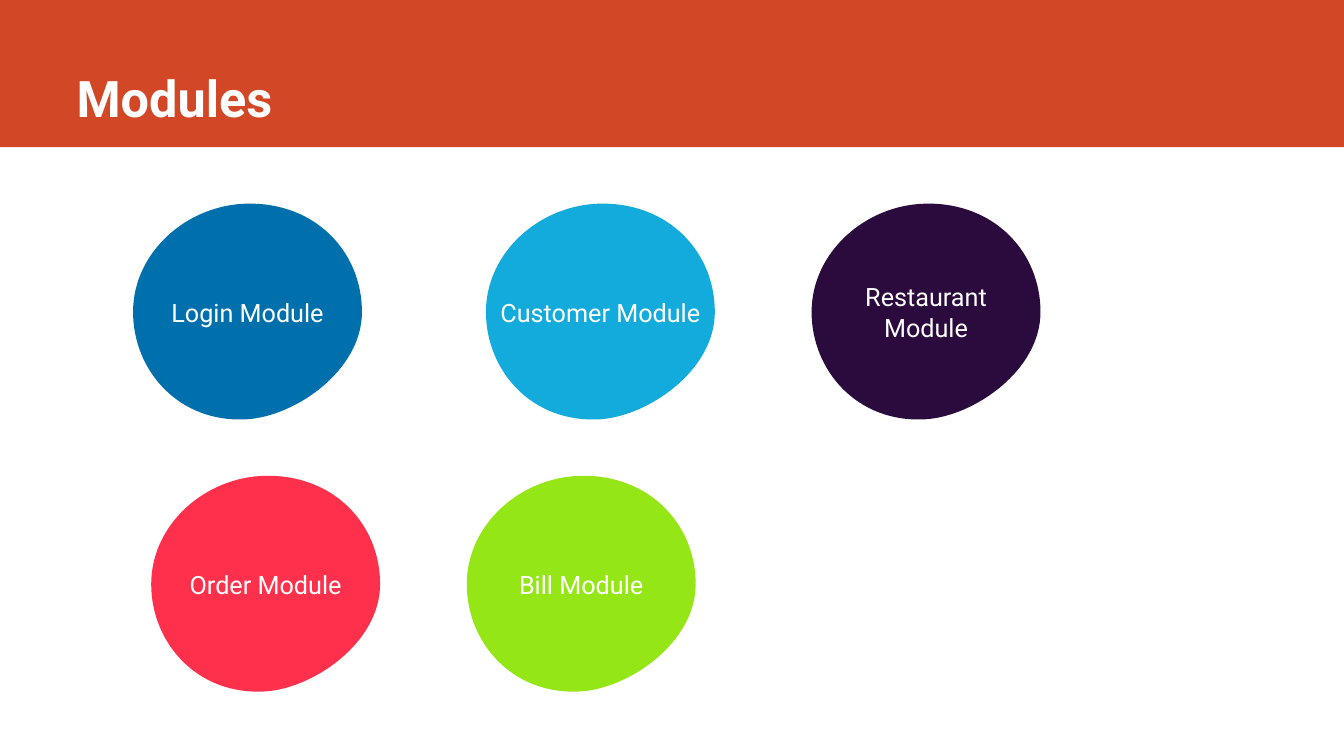
import lxml.etree
import pptx
import pptx.dml.color
import pptx.enum.shapes
import pptx.enum.text
import pptx.oxml.ns
import pptx.util

FONT = "Roboto"
WHITE = "FFFFFF"
BLOB_W, BLOB_H = 2.27, 2.15
GRID = 1000  # outline units along each side of a blob's box

# Bezier segments of the blob in outline units: two controls and an end
BLOB_START = (0, 500)
BLOB_CURVES = [
    ((0, 225), (235, 5), (500, 0)),
    ((800, -5), (1000, 225), (1000, 500)),
    ((1000, 770), (710, 980), (500, 995)),
    ((200, 1015), (0, 770), BLOB_START),
]

# Row top, then (left, text, fill) for each module
MODULE_ROWS = [
    (2.02, [(1.32, "Login Module", "0070AD"),
            (4.82, "Customer Module", "12ABDB"),
            (8.05, "Restaurant Module", "2B0A3D")]),
    (4.72, [(1.5, "Order Module", "FF304C"),
            (4.63, "Bill Module", "95E616")]),
]


def rgb(value):
    return pptx.dml.color.RGBColor.from_string(value)


def paint(sp, color):
    sp.shadow.inherit = False
    sp.fill.solid()
    sp.fill.fore_color.rgb = rgb(color)
    sp.line.fill.background()


def write(sp, text, size, align, anchor, bold=False):
    tf = sp.text_frame
    tf.word_wrap = True
    tf.vertical_anchor = anchor
    p = tf.paragraphs[0]
    p.text = text
    p.alignment = align
    p.font.name = FONT
    p.font.size = pptx.util.Pt(size)
    p.font.bold = bold
    p.font.color.rgb = rgb(WHITE)


def add_header(prs, s, text):
    bar = s.shapes.add_shape(
        pptx.enum.shapes.MSO_SHAPE.RECTANGLE,
        0, 0, prs.slide_width, pptx.util.Inches(1.46))
    paint(bar, "D24726")
    title = s.shapes.title
    title.element.addprevious(bar.element)
    title.left, title.top = pptx.util.Inches(0.66), 0
    title.width, title.height = pptx.util.Inches(11.76), pptx.util.Inches(1.32)
    write(title, text, 36, pptx.enum.text.PP_ALIGN.LEFT,
          pptx.enum.text.MSO_ANCHOR.BOTTOM, bold=True)


def add_blob(s, left, top):
    """Add a freeform through the curve ends, then bend its sides."""
    qn = pptx.oxml.ns.qn
    width, height = pptx.util.Inches(BLOB_W), pptx.util.Inches(BLOB_H)
    builder = s.shapes.build_freeform(
        *BLOB_START, scale=(width / GRID, height / GRID))
    builder.add_line_segments([curve[-1] for curve in BLOB_CURVES], close=True)
    sp = builder.convert_to_shape(pptx.util.Inches(left), pptx.util.Inches(top))
    sp.width, sp.height = width, height
    outline = next(sp.element.iter(qn("a:path")))
    outline.set("w", str(GRID))
    outline.set("h", str(GRID))
    for side, curve in zip(outline.findall(qn("a:lnTo")), BLOB_CURVES):
        bend = lxml.etree.Element(qn("a:cubicBezTo"))
        for x, y in curve:
            lxml.etree.SubElement(bend, qn("a:pt"), x=str(x), y=str(y))
        outline.replace(side, bend)
    return sp


def add_module(s, left, top, text, color):
    sp = add_blob(s, left, top)
    paint(sp, color)
    write(sp, text, 18, pptx.enum.text.PP_ALIGN.CENTER,
          pptx.enum.text.MSO_ANCHOR.MIDDLE)


def main():
    prs = pptx.Presentation()
    prs.slide_width = pptx.util.Inches(13.33)
    prs.slide_height = pptx.util.Inches(7.5)
    s = prs.slides.add_slide(prs.slide_layouts.get_by_name("Title Only"))
    add_header(prs, s, "Modules")
    for top, modules in MODULE_ROWS:
        for left, text, color in modules:
            add_module(s, left, top, text, color)
    prs.save("out.pptx")


if __name__ == "__main__":
    main()
